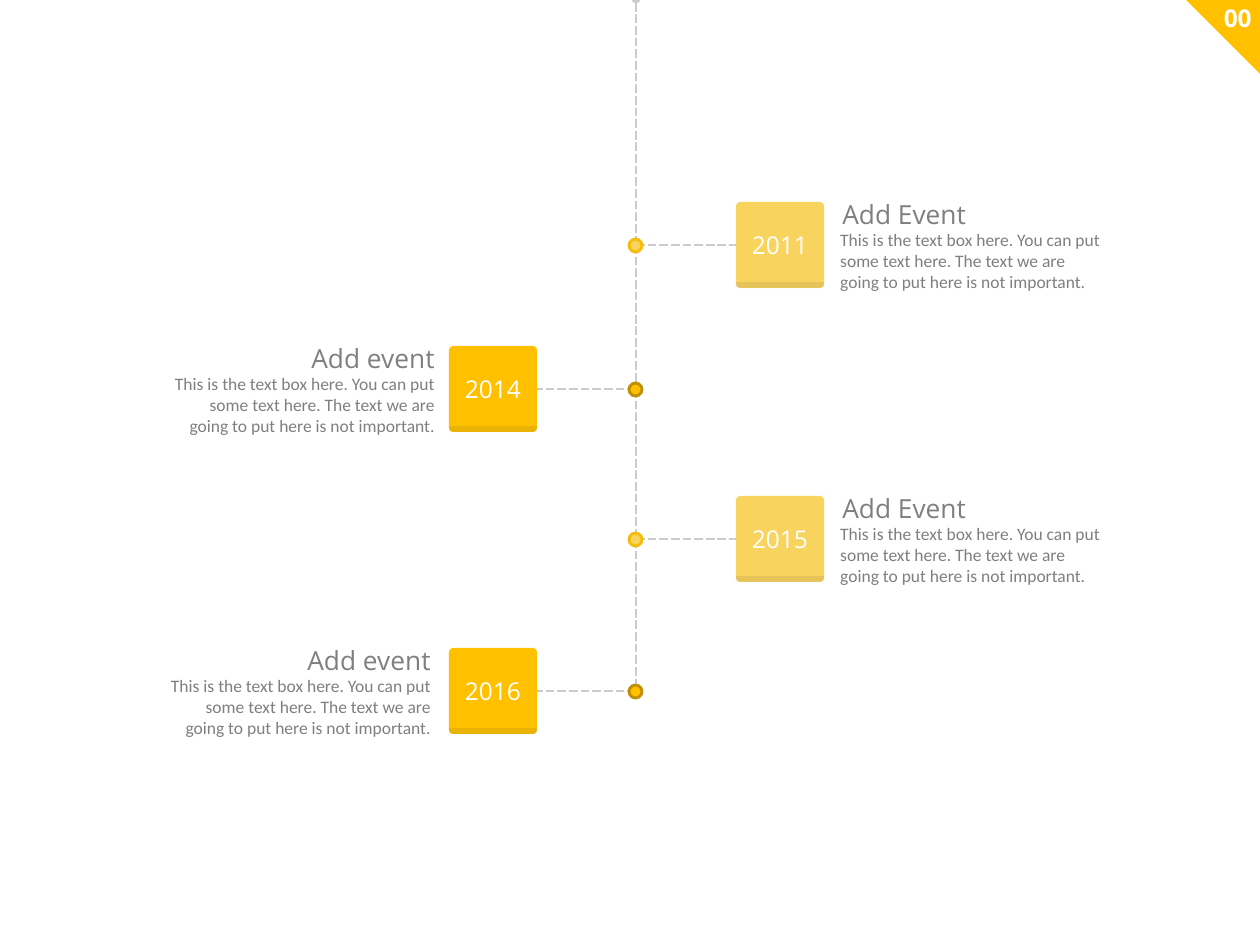
import itertools
import lxml.etree
import pptx
import pptx.dml.color
import pptx.enum.dml
import pptx.enum.shapes
import pptx.enum.text
import pptx.oxml.ns
import pptx.util

px = 914400 // 84
kind = pptx.enum.shapes.MSO_SHAPE
straight = pptx.enum.shapes.MSO_CONNECTOR.STRAIGHT
align = pptx.enum.text.PP_ALIGN
fit = pptx.enum.text.MSO_AUTO_SIZE.SHAPE_TO_FIT_TEXT
qn = pptx.oxml.ns.qn


def paint(color, tone):
    color.rgb = pptx.dml.color.RGBColor.from_string(tone)


def write(shape, text, size, tone, side, face="Open Sans"):
    shape.text_frame.text = text
    par = shape.text_frame.paragraphs[0]
    par.alignment = side
    font = par.runs[0].font
    font.name = face
    font.size = pptx.util.Pt(size)
    paint(font.color, tone)
    return font


deck = pptx.Presentation()
deck.slide_width = 1260 * px
deck.slide_height = 945 * px
slide = deck.slides.add_slide(deck.slide_layouts[6])
shapes = slide.shapes

corner = shapes.add_shape(kind.ISOSCELES_TRIANGLE, 1185 * px, -px, 75 * px, 75 * px)
corner.adjustments[0] = 0
corner.rotation = 180
corner.shadow.inherit = False
corner.fill.solid()
paint(corner.fill.fore_color, "FFC000")
corner.line.fill.background()

page = shapes.add_textbox(1215 * px, -px, 45 * px, 38 * px)
page.text_frame.word_wrap = False
page.text_frame.auto_size = fit
write(page, "00", 21, "FFFFFF", align.RIGHT).bold = True

axis = 636
wide, high = 88, 86
body = ("This is the text box here. You can put some text here. "
        "The text we are going to put here is not important.")
events = [
    ("2011", 202, True, 834),
    ("2014", 346, False, 443),
    ("2015", 496, True, 834),
    ("2016", 648, False, 439),
]

stops = [-1] + [top + high // 2 for year, top, right, edge in events]
lines = []
for start, end in itertools.pairwise(stops):
    lines.append(shapes.add_connector(straight, axis * px, start * px, axis * px, end * px))

for year, top, right, edge in events:
    mid = top + high // 2
    if right:
        left, tone, rim, site = 736, "F8D35E", "F4BD0C", 1
        title, side, head, note = "Add Event", align.LEFT, edge, edge - 2
    else:
        left, tone, rim, site = 449, "FFC000", "BF9000", 3
        title, side, head, note = "Add event", align.RIGHT, edge - 141, edge - 277

    box = shapes.add_shape(kind.ROUNDED_RECTANGLE, left * px, top * px, wide * px, high * px)
    box.adjustments[0] = 0.05
    box.text_frame.vertical_anchor = pptx.enum.text.MSO_ANCHOR.MIDDLE
    write(box, year, 21, "FFFFFF", align.CENTER)

    strip = shapes.add_shape(kind.ROUND_2_SAME_RECTANGLE,
                             left * px, (top + high - 6) * px, wide * px, 6 * px)
    strip.adjustments[0] = 0
    strip.adjustments[1] = 0.5

    link = shapes.add_connector(straight, axis * px, mid * px, left * px, mid * px)
    link.end_connect(box, site)
    lines.append(link)

    dot = shapes.add_shape(kind.OVAL, (axis - 7) * px, (mid - 6) * px, 13 * px, 13 * px)

    for shape, fill in ((box, tone), (strip, "404040"), (dot, tone)):
        shape.shadow.inherit = False
        shape.fill.solid()
        paint(shape.fill.fore_color, fill)
        shape.line.fill.background()
    shade = strip.fill._xPr.find(".//" + qn("a:srgbClr"))
    lxml.etree.SubElement(shade, qn("a:alpha"), val="10000")
    dot.line.fill.solid()
    paint(dot.line.color, rim)
    dot.line.width = pptx.util.Pt(2.5)

    name = shapes.add_textbox(head * px, (top - 8) * px, 141 * px, 40 * px)
    name.text_frame.word_wrap = False
    name.text_frame.auto_size = fit
    write(name, title, 22.5, "7F7F7F", side)

    text = shapes.add_textbox(note * px, (top + 23) * px, 277 * px, 72 * px)
    text.text_frame.word_wrap = True
    text.text_frame.auto_size = fit
    write(text, body, 15, "7F7F7F", side, "Calibri")

for line in lines:
    paint(line.line.color, "CCCCCC")
    line.line.width = pptx.util.Pt(2.5)
    line.line.dash_style = pptx.enum.dml.MSO_LINE.SQUARE_DOT
    lxml.etree.SubElement(line._element.spPr, qn("a:effectLst"))

stroke = lines[0]._element.spPr.find(qn("a:ln"))
for tip in ("a:headEnd", "a:tailEnd"):
    lxml.etree.SubElement(stroke, qn(tip), type="oval")

deck.save("out.pptx")
